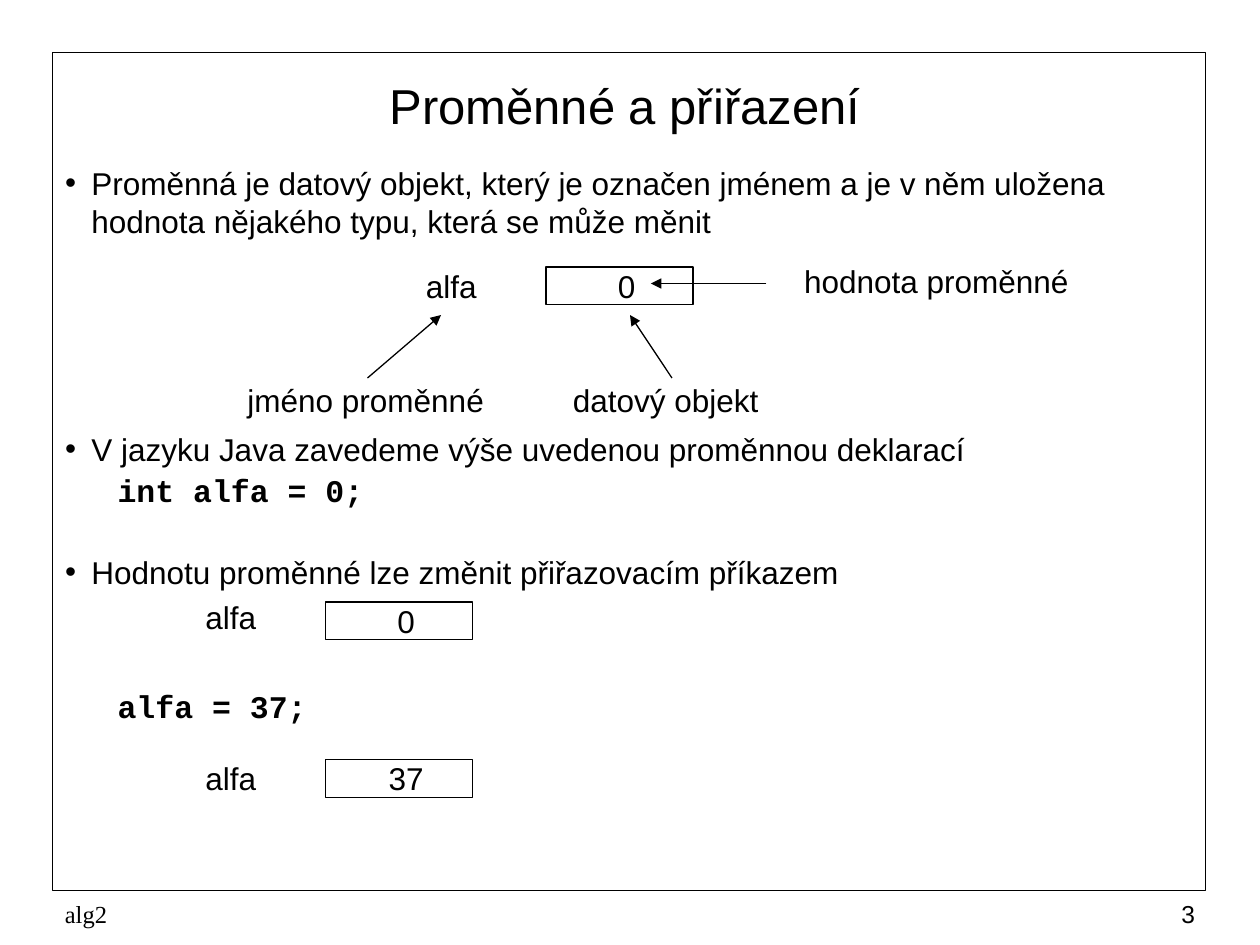
from dataclasses import dataclass

from lxml import etree
from pptx import Presentation
from pptx.dml.color import RGBColor
from pptx.enum.shapes import MSO_CONNECTOR, MSO_SHAPE
from pptx.enum.text import MSO_ANCHOR, MSO_AUTO_SIZE, PP_ALIGN
from pptx.oxml.ns import qn
from pptx.util import Pt

LEFT, MID, RIGHT = PP_ALIGN.LEFT, PP_ALIGN.CENTER, PP_ALIGN.RIGHT
TOP, CENTRE, LOW = MSO_ANCHOR.TOP, MSO_ANCHOR.MIDDLE, MSO_ANCHOR.BOTTOM
RECT, LINE = MSO_SHAPE.RECTANGLE, MSO_CONNECTOR.STRAIGHT
INK = "000000"
ROW = 21.6  # height of a text row, a label and a value box
PLAIN = {"name": "Arial", "size": Pt(18), "bold": False}
CODE = {"name": "Courier New", "size": Pt(18), "bold": True}


@dataclass
class Item:
    text: str
    gap: float = 0
    code: bool = False


@dataclass
class Label:
    text: str
    x: float
    y: float
    w: float
    align: PP_ALIGN = LEFT
    boxed: bool = False


@dataclass
class Arrow:
    x1: float
    y1: float
    x2: float
    y2: float


ITEMS = [
    Item("Proměnná je datový objekt, který je označen jménem a je v něm "
         "uložena hodnota nějakého typu, která se může měnit"),
    Item("V jazyku Java zavedeme výše uvedenou proměnnou deklarací", 108.7),
    Item("int alfa = 0;", 2.3, True),
    Item("Hodnotu proměnné lze změnit přiřazovacím příkazem", 24.8),
    Item("alfa = 37;", 54.9, True),
]
LABELS = [
    Label("alfa", 234, 152.6, 66),
    Label("0", 312, 152.6, 84, MID, True),
    Label("hodnota proměnné", 438, 150, 186, MID),
    Label("jméno proměnné", 132, 218, 156),
    Label("datový objekt", 318, 218, 198),
    Label("alfa", 108, 342, 66),
    Label("0", 186, 344, 84, MID, True),
    Label("alfa", 108, 434, 66),
    Label("37", 186, 434, 84, MID, True),
]
ARROWS = [
    Arrow(210, 216, 252, 180),
    Arrow(384, 216, 360, 180),
    Arrow(438, 162, 372, 162),
]


def tint(part, code: str) -> None:
    part.rgb = RGBColor.from_string(code)


def put(obj, vals: dict) -> None:
    for key, val in vals.items():
        setattr(obj, key, val)


def place(shape, x: float, y: float, w: float, h: float) -> None:
    put(shape, {"left": Pt(x), "top": Pt(y), "width": Pt(w), "height": Pt(h)})


def style(para, face: dict, align: PP_ALIGN = LEFT) -> None:
    para.alignment = align
    put(para.font, face)
    tint(para.font.color, INK)


def stroke(line, width: float) -> None:
    line.width = Pt(width)
    tint(line.color, INK)


def add_rect(slide, x: float, y: float, w: float, h: float, width: float):
    rect = slide.shapes.add_shape(RECT, Pt(x), Pt(y), Pt(w), Pt(h))
    rect.shadow.inherit = False
    rect.fill.background()
    stroke(rect.line, width)
    return rect


def add_text(slide, x: float, y: float, w: float, h: float):
    return slide.shapes.add_textbox(Pt(x), Pt(y), Pt(w), Pt(h))


def add_label(slide, lab: Label) -> None:
    area = (lab.x, lab.y, lab.w, ROW)
    shape = add_rect(slide, *area, 0.75) if lab.boxed else add_text(slide, *area)
    frame = shape.text_frame
    put(frame, {"text": lab.text, "word_wrap": True, "vertical_anchor": LOW,
                "margin_left": Pt(9.4), "margin_right": Pt(1.4),
                "margin_top": 0, "margin_bottom": 0})
    style(frame.paragraphs[0], PLAIN, lab.align)


def add_arrow(slide, arr: Arrow) -> None:
    link = slide.shapes.add_connector(
        LINE, Pt(arr.x1), Pt(arr.y1), Pt(arr.x2), Pt(arr.y2))
    stroke(link.line, 0.75)
    props = link.element.spPr
    etree.SubElement(props.find(qn("a:ln")), qn("a:tailEnd"), type="triangle")
    etree.SubElement(props, qn("a:effectLst"))


def add_item(para, item: Item) -> None:
    para.text = item.text
    para.level = int(item.code)
    props = para._p.get_or_add_pPr()
    props.set("marL", str(Pt(30 if item.code else 15)))
    props.set("indent", str(Pt(0 if item.code else -15)))
    if item.code:
        etree.SubElement(props, qn("a:buNone"))
    else:
        etree.SubElement(props, qn("a:buChar"), char="•")
    put(para, {"line_spacing": Pt(ROW), "space_before": Pt(item.gap),
               "space_after": Pt(0)})
    style(para, CODE if item.code else PLAIN)


def add_foot(slide, text: str, x: float, w: float, face: str,
             align: PP_ALIGN) -> None:
    frame = add_text(slide, x, 510, w, 24).text_frame
    put(frame, {"text": text, "word_wrap": True, "vertical_anchor": CENTRE})
    style(frame.paragraphs[0], {"name": face, "size": Pt(14)}, align)


def main() -> None:
    deck = Presentation()
    put(deck, {"slide_width": Pt(720), "slide_height": Pt(540)})
    slide = deck.slides.add_slide(deck.slide_layouts[1])
    add_rect(slide, 30, 30, 659, 479, 1)

    # Title
    title = slide.shapes.title
    place(title, 36, 36, 642, 48)
    put(title.text_frame, {"text": "Proměnné a přiřazení",
                           "vertical_anchor": CENTRE,
                           "auto_size": MSO_AUTO_SIZE.NONE})
    style(title.text_frame.paragraphs[0], PLAIN | {"size": Pt(28)}, MID)

    # Bulleted text and code
    body = slide.placeholders[1]
    place(body, 30, 90, 660, 420)
    frame = body.text_frame
    put(frame, {"vertical_anchor": TOP, "auto_size": MSO_AUTO_SIZE.NONE})
    for num, item in enumerate(ITEMS):
        para = frame.add_paragraph() if num else frame.paragraphs[0]
        add_item(para, item)

    # Variable diagrams
    for lab in LABELS:
        add_label(slide, lab)
    for arr in ARROWS:
        add_arrow(slide, arr)

    # Footer
    add_foot(slide, "alg2", 30, 228, "Times New Roman", LEFT)
    add_foot(slide, "3", 540, 150, "Arial", RIGHT)
    deck.save("out.pptx")


if __name__ == "__main__":
    main()
